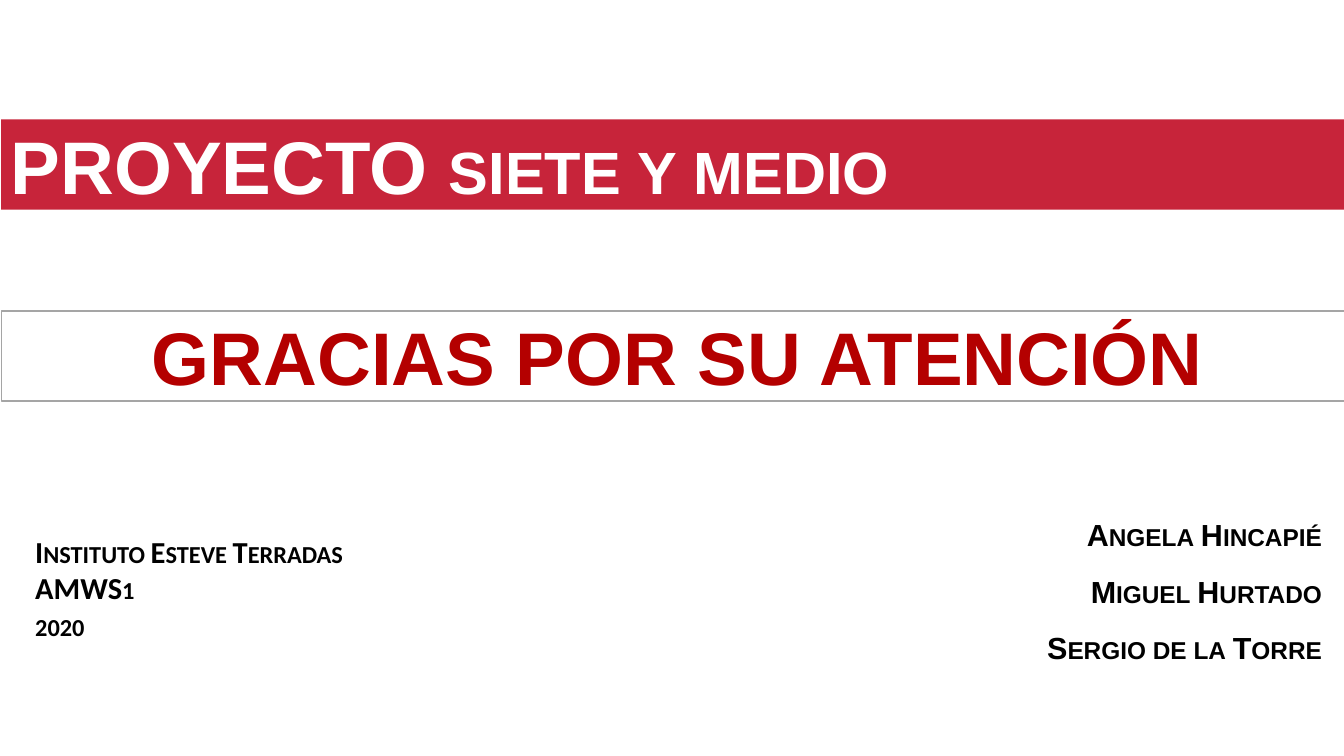
"""Build the closing slide of the Siete y medio project."""
from dataclasses import dataclass

from pptx import Presentation
from pptx.dml.color import RGBColor
from pptx.enum import shapes, text
from pptx.util import Pt


@dataclass(frozen=True)
class Box:
    left: float
    top: float
    width: float
    height: float


@dataclass(frozen=True)
class Piece:
    words: str
    small_caps: bool = False


SLIDE_WIDTH, SLIDE_HEIGHT = 793.44, 446.4
BAND_LEFT, BAND_HEIGHT = 0.72, 53.28
TITLE_BAND = Box(BAND_LEFT, 70.56, SLIDE_WIDTH, BAND_HEIGHT)
THANKS_BAND = Box(BAND_LEFT, 183.6, SLIDE_WIDTH, BAND_HEIGHT)
AUTHORS_BOX = Box(567.36, 303.84, 213.12, 87.84)
SCHOOL_BOX = Box(13.68, 311.04, 231.84, 72.72)
BAND_INSETS = (5.76, 0, 0, 0)


def color(value: str) -> RGBColor:
    return RGBColor.from_string(value)


def place(shape, box: Box) -> None:
    shape.left, shape.top = Pt(box.left), Pt(box.top)
    shape.width, shape.height = Pt(box.width), Pt(box.height)


def write(shape, paragraphs: list[list[Piece]], *, size: float, ink: str,
          font: str = "Arial", align=text.PP_ALIGN.LEFT,
          anchor=text.MSO_ANCHOR.TOP, insets=(0, 0, 0, 0),
          after: float = 0, spacing: float = 1.0) -> None:
    frame = shape.text_frame
    frame.word_wrap = True
    frame.auto_size = text.MSO_AUTO_SIZE.NONE
    frame.vertical_anchor = anchor
    (frame.margin_left, frame.margin_top,
     frame.margin_right, frame.margin_bottom) = map(Pt, insets)
    for index, pieces in enumerate(paragraphs):
        paragraph = frame.add_paragraph() if index else frame.paragraphs[0]
        paragraph.alignment = align
        paragraph.space_before, paragraph.space_after = Pt(0), Pt(after)
        paragraph.line_spacing = spacing
        for piece in pieces:
            run = paragraph.add_run()
            run.text = piece.words
            run.font.name, run.font.size, run.font.bold = font, Pt(size), True
            run.font.color.rgb = color(ink)
            if piece.small_caps:
                run._r.get_or_add_rPr().set("cap", "small")


def small_lines(*lines: str) -> list[list[Piece]]:
    return [[Piece(line, small_caps=True)] for line in lines]


def main() -> None:
    deck = Presentation()
    deck.slide_width, deck.slide_height = Pt(SLIDE_WIDTH), Pt(SLIDE_HEIGHT)
    slide = deck.slides.add_slide(deck.slide_layouts[0])

    project = slide.shapes.title
    place(project, TITLE_BAND)
    project.fill.solid()
    project.fill.fore_color.rgb = color("C7243A")
    write(project, [[Piece("PROYECTO "), Piece("siete y medio", small_caps=True)]],
          size=44, ink="FFFFFF", anchor=text.MSO_ANCHOR.MIDDLE, insets=BAND_INSETS)

    authors = slide.placeholders[1]
    place(authors, AUTHORS_BOX)
    write(authors, small_lines("Angela Hincapié", "Miguel Hurtado", "Sergio de la Torre"),
          size=18, ink="000000", align=text.PP_ALIGN.RIGHT, after=10.6, spacing=1.05)

    school = slide.shapes.add_textbox(0, 0, 0, 0)
    place(school, SCHOOL_BOX)
    write(school, small_lines("Instituto Esteve Terradas", "AMWS1", "2020"),
          size=18, ink="000000", font="Calibri", insets=(7.2, 3.6, 7.2, 3.6))

    thanks = slide.shapes.add_shape(shapes.MSO_SHAPE.RECTANGLE, 0, 0, 0, 0)
    place(thanks, THANKS_BAND)
    thanks.shadow.inherit = False
    thanks.fill.background()
    thanks.line.color.rgb = color("A5A5A5")
    thanks.line.width = Pt(0.75)
    write(thanks, [[Piece("GRACIAS POR SU ATENCIÓN")]], size=44, ink="B40000",
          align=text.PP_ALIGN.CENTER, anchor=text.MSO_ANCHOR.MIDDLE, insets=BAND_INSETS)

    deck.save("out.pptx")


if __name__ == "__main__":
    main()
